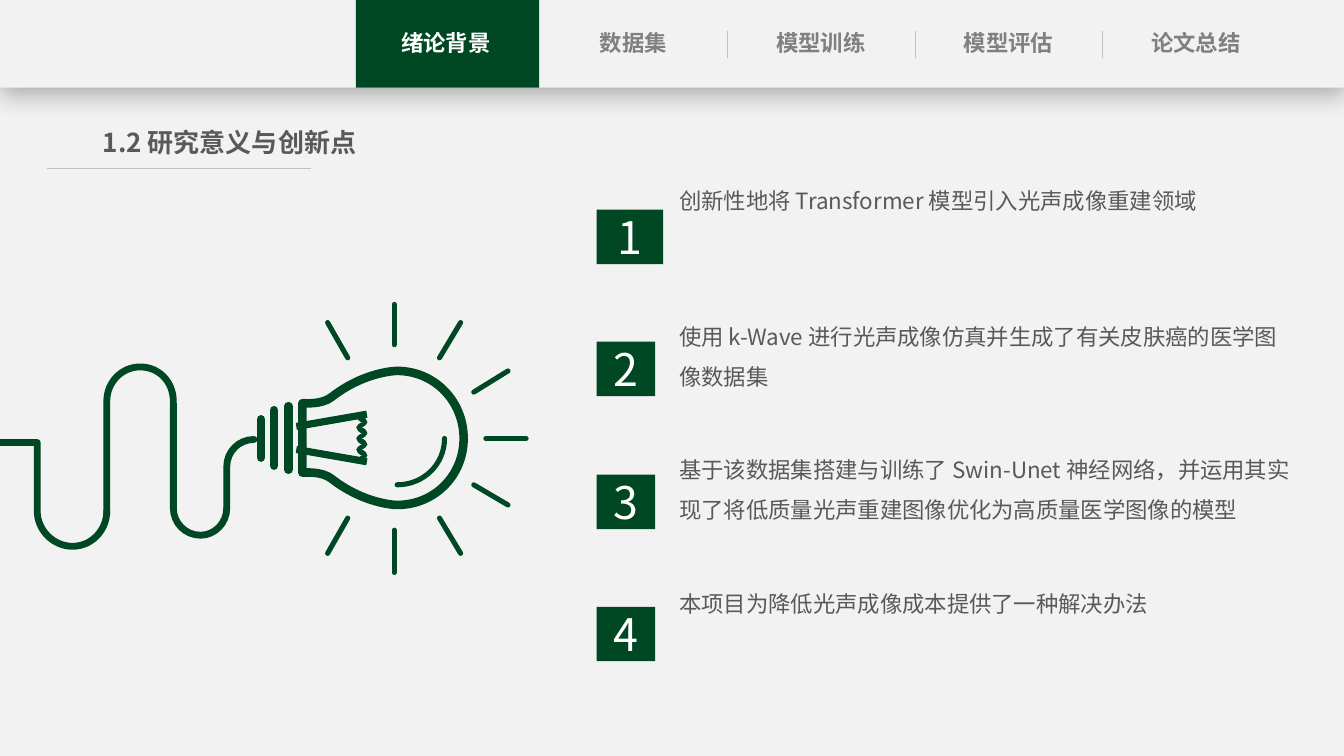
"""Build the slide on research significance and innovations, with a light bulb drawing."""
from dataclasses import dataclass
from typing import Optional

from lxml.etree import SubElement
from pptx import Presentation
from pptx.dml.color import RGBColor
from pptx.enum.shapes import MSO_CONNECTOR, MSO_SHAPE
from pptx.enum.text import MSO_ANCHOR, MSO_AUTO_SIZE, PP_ALIGN
from pptx.oxml.ns import qn
from pptx.util import Inches, Pt

FONT = "Noto Sans CJK SC"
GREEN, PALE, WHITE = "004723", "F2F2F2", "FFFFFF"
TEXT_GRAY, TAB_GRAY, RULE_GRAY = "595959", "808080", "BFBFBF"
SLIDE_WIDTH, SLIDE_HEIGHT = 40 / 3, 7.5
TAB_STEP = 1.86
TABS = ["绪论背景", "数据集", "模型训练", "模型评估", "论文总结"]


@dataclass
class Innovation:
    text: str
    text_top: float
    badge_top: float
    text_width: float = 6.35
    text_height: float = 0.91
    badge_width: float = 0.58


@dataclass
class Outline:
    start: tuple
    segments: list
    line_width: float
    fill: Optional[str] = None
    closed: bool = False


INNOVATIONS = [
    Innovation("创新性地将 Transformer 模型引入光声成像重建领域", 1.67, 2.08, 6.05, 0.5, 0.66),
    Innovation("使用 k-Wave 进行光声成像仿真并生成了有关皮肤癌的医学图像数据集", 3.02, 3.39),
    Innovation("基于该数据集搭建与训练了 Swin-Unet 神经网络，并运用其"
               "实现了将低质量光声重建图像优化为高质量医学图像的模型", 4.34, 4.71),
    Innovation("本项目为降低光声成像成本提供了一种解决办法", 5.67, 6.02, text_height=0.5),
]

RAYS = [
    (4.82, 4.35, 5.22, 4.35), (4.7, 4.81, 5.04, 5.01), (4.36, 5.14, 4.57, 5.49),
    (3.91, 5.26, 3.91, 5.68), (3.45, 5.14, 3.25, 5.49), (4.7, 3.89, 5.04, 3.68),
    (4.36, 3.55, 4.57, 3.2), (3.91, 3.42, 3.91, 3.02), (3.45, 3.55, 3.25, 3.2),
]
SCREW_THREADS = [(2.86, 4.03, 2.86, 4.66), (2.72, 4.07, 2.72, 4.62), (2.59, 4.16, 2.59, 4.54)]


def filament_segments() -> list:
    """Return the wavy filament: up its left edge, then down its right edge."""
    segments = []
    for wave in range(4):
        y = 4.57 - 0.11 * wave
        segments += [(3.54, y - 0.02, 3.57, y - 0.03, 3.58, y - 0.04),
                     (3.59, y - 0.04, 3.61, y - 0.05, 3.61, y - 0.05),
                     (3.61, y - 0.05, 3.59, y - 0.06, 3.58, y - 0.06),
                     (3.57, y - 0.07, 3.54, y - 0.08, 3.54, y - 0.11)]
    segments.append((3.57, 4.13))
    for wave in range(4):
        y = 4.13 + 0.11 * wave
        segments += [(3.57, y, 3.59, y + 0.01, 3.6, y + 0.01),
                     (3.61, y + 0.02, 3.64, y + 0.03, 3.64, y + 0.06),
                     (3.64, y + 0.08, 3.61, y + 0.09, 3.6, y + 0.1),
                     (3.59, y + 0.1, 3.57, y + 0.11, 3.57, y + 0.11)]
    return segments


OUTLINES = [
    Outline((3.94, 4.81), [(4.2, 4.81, 4.41, 4.61, 4.41, 4.35)], 3.63),
    Outline((2.94, 4.49), [(2.95, 4.43), (3.64, 4.55), (3.63, 4.61)], 0.75, GREEN, True),
    Outline((2.94, 4.2), [(3.63, 4.08), (3.64, 4.14), (2.95, 4.26)], 0.75, GREEN, True),
    Outline((3.54, 4.57), filament_segments(), 0.75, GREEN, True),
    Outline((3.94, 3.68), [
        (4.31, 3.68, 4.6, 3.98, 4.6, 4.35), (4.6, 4.72, 4.31, 5.01, 3.94, 5.01),
        (3.92, 5.01, 3.61, 5, 3.29, 4.75), (3.19, 4.67, 3, 4.69, 3, 4.69), (3, 4),
        (3, 4, 3.19, 4.02, 3.29, 3.94), (3.61, 3.69, 3.92, 3.68, 3.94, 3.68),
    ], 6.13, closed=True),
    Outline((2.25, 5.04), [(2.25, 5.19, 2.13, 5.31, 1.99, 5.31),
                           (1.84, 5.31, 1.72, 5.19, 1.72, 5.04), (1.72, 4)], 4.88),
    Outline((1.06, 5.07), [(1.06, 5.26, 0.91, 5.42, 0.72, 5.42),
                           (0.53, 5.42, 0.37, 5.26, 0.37, 5.07), (0.37, 4.39), (0, 4.39)], 4.88),
    Outline((1.06, 5.09), [(1.06, 3.98), (1.06, 3.79, 1.21, 3.64, 1.39, 3.64),
                           (1.58, 3.64, 1.72, 3.79, 1.72, 3.98)], 4.88),
    Outline((2.25, 5.04), [(2.25, 4.63), (2.25, 4.48, 2.37, 4.36, 2.52, 4.36)], 4.88),
]


def color(value: str) -> RGBColor:
    return RGBColor.from_string(value)


def style_line(shape, line_color: str, width: float, round_ends: bool) -> None:
    shape.line.color.rgb = color(line_color)
    shape.line.width = Pt(width)
    if round_ends:
        line = shape.line._get_or_add_ln()
        line.set("cap", "rnd")
        SubElement(line, qn("a:round"))


def add_line(shapes, ends: tuple, line_color: str, width: float, round_ends: bool = False) -> None:
    connector = shapes.add_connector(MSO_CONNECTOR.STRAIGHT, *map(Inches, ends))
    style_line(connector, line_color, width, round_ends)
    SubElement(connector._element.spPr, qn("a:effectLst"))


def bend_segments(shape, segments: list) -> None:
    """Turn each run of three lines that stands for a curve into one cubic curve."""
    lines = iter(list(shape._element.iter(qn("a:lnTo"))))
    for segment in segments:
        first = next(lines)
        if len(segment) == 6:
            curve = first.makeelement(qn("a:cubicBezTo"))
            first.addprevious(curve)
            for line in (first, next(lines), next(lines)):
                curve.append(line[0])
                line.getparent().remove(line)


def add_outline(shapes, outline: Outline) -> None:
    points = [outline.start]
    for segment in outline.segments:
        points += zip(segment[::2], segment[1::2])
    vertices = [(Inches(x), Inches(y)) for x, y in points]
    builder = shapes.build_freeform(*vertices[0])
    builder.add_line_segments(vertices[1:], close=outline.closed)
    shape = builder.convert_to_shape()
    bend_segments(shape, outline.segments)
    shape.shadow.inherit = False
    if outline.fill:
        shape.fill.solid()
        shape.fill.fore_color.rgb = color(outline.fill)
    else:
        shape.fill.background()
    style_line(shape, GREEN, outline.line_width, True)


def add_rectangle(shapes, box: tuple, fill: str):
    shape = shapes.add_shape(MSO_SHAPE.RECTANGLE, *map(Inches, box))
    shape.shadow.inherit = False
    shape.fill.solid()
    shape.fill.fore_color.rgb = color(fill)
    shape.line.fill.background()
    return shape


def write_text(shape, text: str, *, size: float, font_color: str, bold: bool = False,
               align=PP_ALIGN.LEFT, line_spacing: Optional[float] = None) -> None:
    paragraph = shape.text_frame.paragraphs[0]
    paragraph.alignment = align
    if line_spacing:
        paragraph.line_spacing = line_spacing
    run = paragraph.add_run()
    run.text = text
    run.font.size, run.font.bold, run.font.name = Pt(size), bold, FONT
    run.font.color.rgb = color(font_color)
    SubElement(run.font._element, qn("a:ea"), typeface=FONT)


def add_text(shapes, text: str, box: tuple, side_inset: float = 0, **text_format) -> None:
    shape = shapes.add_textbox(*map(Inches, box))
    frame = shape.text_frame
    frame.word_wrap = True
    frame.auto_size = MSO_AUTO_SIZE.SHAPE_TO_FIT_TEXT
    frame.margin_left = frame.margin_right = Inches(side_inset)
    write_text(shape, text, **text_format)


def add_header(shapes) -> None:
    bar = add_rectangle(shapes, (0, 0, SLIDE_WIDTH, 0.87), PALE)
    effects = bar._element.spPr.find(qn("a:effectLst"))
    shadow = SubElement(effects, qn("a:outerShdw"), blurRad=str(Pt(18)), dist=str(Pt(4)),
                        dir="5400000", algn="t", rotWithShape="0")
    SubElement(SubElement(shadow, qn("a:srgbClr"), val="000000"), qn("a:alpha"), val="29000")
    add_rectangle(shapes, (3.53, 0, 1.82, 0.87), GREEN)
    for index, tab in enumerate(TABS):
        add_text(shapes, tab, (3.69 + TAB_STEP * index, 0.24, 1.47, 0.37), size=16, bold=True,
                 font_color=TAB_GRAY if index else WHITE, align=PP_ALIGN.CENTER)
    for index in range(3):
        x = 7.22 + TAB_STEP * index
        add_line(shapes, (x, 0.31, x, 0.58), RULE_GRAY, 0.5)


def add_bulb(shapes) -> None:
    for ray in RAYS:
        add_line(shapes, ray, GREEN, 3.63, True)
    for outline in OUTLINES:
        add_outline(shapes, outline)
    for thread in SCREW_THREADS:
        add_line(shapes, thread, GREEN, 6.13, True)


def add_innovation(shapes, number: int, item: Innovation) -> None:
    add_text(shapes, item.text, (6.64, item.text_top, item.text_width, item.text_height), 0.1,
             size=16, font_color=TEXT_GRAY, line_spacing=1.5)
    badge = add_rectangle(shapes, (5.92, item.badge_top, item.badge_width, 0.54), GREEN)
    badge.text_frame.vertical_anchor = MSO_ANCHOR.MIDDLE
    write_text(badge, str(number), size=32, font_color=WHITE, align=PP_ALIGN.CENTER)


def main() -> None:
    presentation = Presentation()
    presentation.slide_width, presentation.slide_height = Inches(SLIDE_WIDTH), Inches(SLIDE_HEIGHT)
    shapes = presentation.slides.add_slide(presentation.slide_layouts[6]).shapes
    add_rectangle(shapes, (0, 0, SLIDE_WIDTH, SLIDE_HEIGHT), PALE)
    add_header(shapes)
    add_line(shapes, (0.47, 1.67, 3.09, 1.67), RULE_GRAY, 0.5)
    add_text(shapes, "1.2 研究意义与创新点", (1.02, 1.21, 2.64, 0.42),
             size=18.6, font_color=TEXT_GRAY, bold=True)
    add_bulb(shapes.add_group_shape().shapes)
    for number, item in enumerate(INNOVATIONS, start=1):
        add_innovation(shapes.add_group_shape().shapes, number, item)
    presentation.save("out.pptx")


if __name__ == "__main__":
    main()
